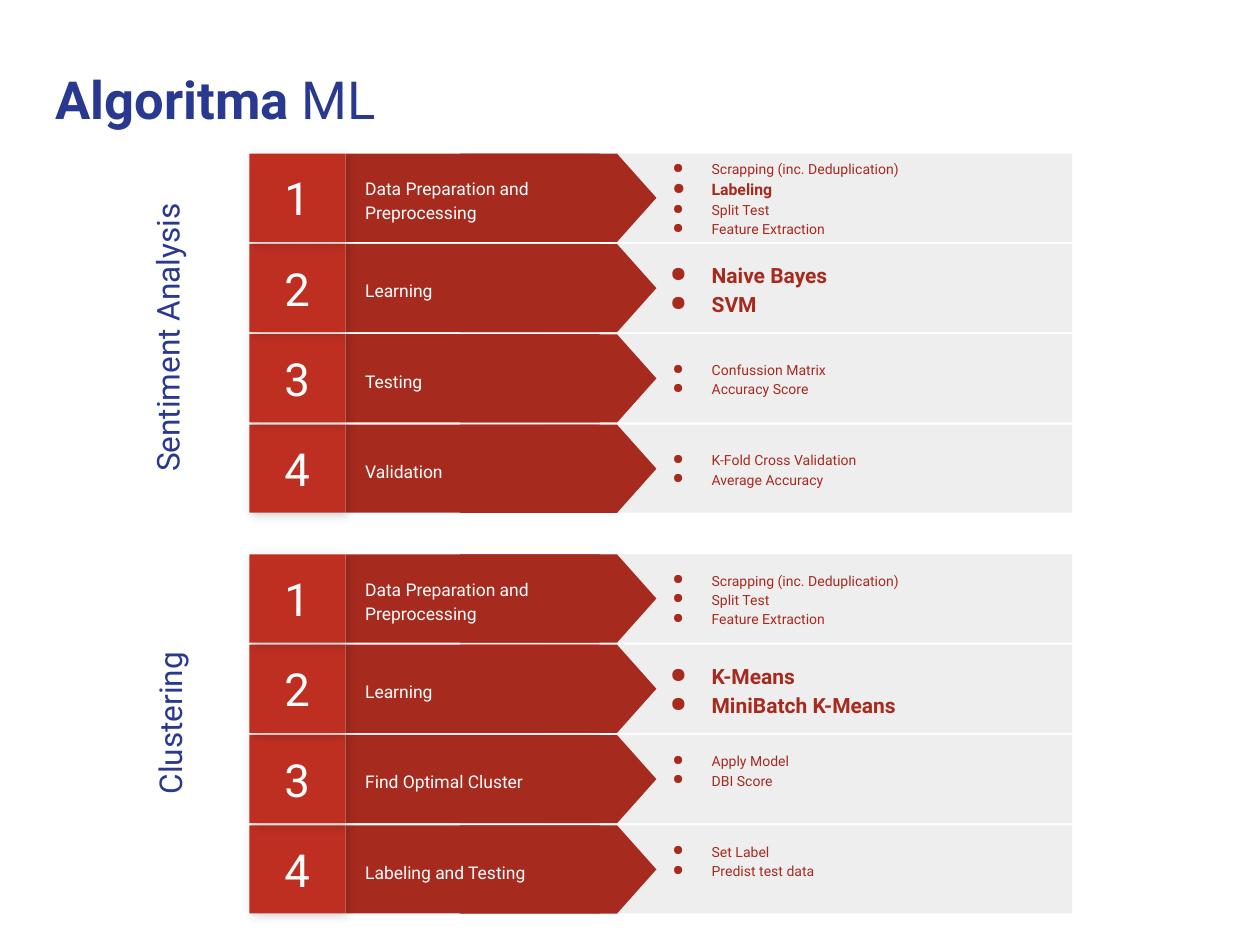
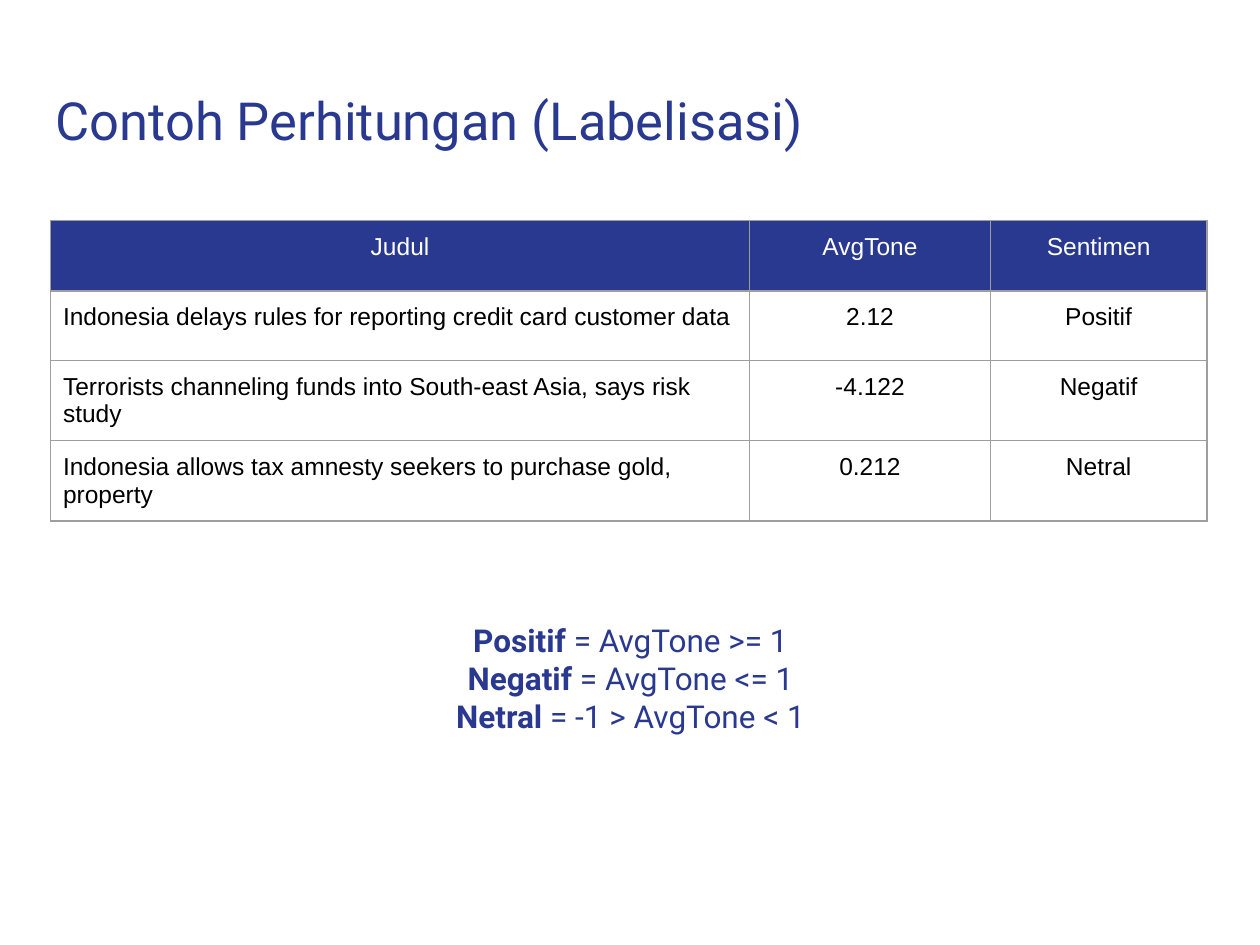
from lxml import etree
from pptx import Presentation
from pptx import util as u
from pptx.dml.color import RGBColor
from pptx.enum import shapes, text
from pptx.oxml import ns

HUES = {
    "blue": "2A3990", "dark": "A72A1E", "red": "BE2F22", "pale": "EEEEEE",
    "white": "FFFFFF", "black": "000000", "line": "9E9E9E",
}
FONT = "Roboto"
LEFT, MID = text.PP_ALIGN.LEFT, text.PP_ALIGN.CENTER
ROW = 0.7  # height of one step

SENTIMENT = [
    ("Data Preparation and Preprocessing",
     [("Scrapping (inc. Deduplication)", 8), ("Labeling", 9),
      ("Split Test", 8), ("Feature Extraction", 8)], 0),
    ("Learning", [("Naive Bayes", 12), ("SVM", 12)], 0),
    ("Testing", [("Confussion Matrix", 8), ("Accuracy Score", 8)], 0),
    ("Validation", [("K-Fold Cross Validation", 8), ("Average Accuracy", 8)], 0),
]
CLUSTER = [
    ("Data Preparation and Preprocessing",
     [("Scrapping (inc. Deduplication)", 8), ("Split Test", 8),
      ("Feature Extraction", 8)], 0),
    ("Learning", [("K-Means", 12), ("MiniBatch K-Means", 12)], 0),
    ("Find Optimal Cluster", [("Apply Model", 8), ("DBI Score", 8)], 0.15),
    ("Labeling and Testing", [("Set Label", 8), ("Predist test data", 8)], 0.15),
]
TONES = [
    ("Judul", "AvgTone", "Sentimen"),
    ("Indonesia delays rules for reporting credit card customer data", "2.12", "Positif"),
    ("Terrorists channeling funds into South-east Asia, says risk study", "-4.122", "Negatif"),
    ("Indonesia allows tax amnesty seekers to purchase gold, property", "0.212", "Netral"),
]
RULES = [
    ("Positif", " = AvgTone >= 1"),
    ("Negatif", " = AvgTone <= 1"),
    ("Netral", " = -1 > AvgTone < 1"),
]


def rgb(hue):
    return RGBColor.from_string(HUES[hue])


def inches(*sizes):
    return [u.Inches(s) for s in sizes]


def node(parent, tag, **attrs):
    return etree.SubElement(parent, ns.qn(tag), {k: str(v) for k, v in attrs.items()})


def write(para, words, size, hue, bold=False, font=FONT):
    run = para.add_run()
    run.text = words
    run.font.size, run.font.name, run.font.bold = u.Pt(size), font, bold
    run.font.color.rgb = rgb(hue)


def frame(shape, anchor=text.MSO_ANCHOR.TOP):
    """Return the shape's text frame with the shared margins."""
    body = shape.text_frame
    body.word_wrap = True
    body.auto_size = text.MSO_AUTO_SIZE.NONE
    body.vertical_anchor = anchor
    for side in ("left", "top", "right", "bottom"):
        setattr(body, f"margin_{side}", u.Inches(0.1))
    return body


def block(group, kind, box, hue):
    shape = group.shapes.add_shape(kind, *inches(*box))
    shape.shadow.inherit = False
    shape.fill.solid()
    shape.fill.fore_color.rgb = rgb(hue)
    shape.line.fill.background()
    return shape


def shade(shape):
    """Add a soft shadow below and right of the shape."""
    list_ = shape._element.spPr.find(ns.qn("a:effectLst"))
    glow = node(list_, "a:outerShdw", blurRad=u.Pt(5.6), dist=u.Pt(2.2),
                dir=45 * 60000, algn="bl", rotWithShape=0)
    node(node(glow, "a:srgbClr", val=HUES["black"]), "a:alpha", val=17000)


def bullet(para, size):
    props = para._p.get_or_add_pPr()
    props.set("marL", str(u.Inches(0.5)))
    props.set("indent", str(u.Inches(-0.33 if size > 9 else -0.31)))
    node(node(props, "a:buClr"), "a:srgbClr", val=HUES["dark"])
    node(props, "a:buChar", char="●")
    para.line_spacing = 1.15


def title(slide, top, parts):
    shape = slide.shapes.title
    shape.left, shape.top, shape.width, shape.height = inches(0.34, top, 9.32, 0.89)
    para = frame(shape).paragraphs[0]
    para.alignment = LEFT
    for words, bold in parts:
        write(para, words, 30, "blue", bold)


def step(slide, left, top, num, name, items, lift):
    """Draw one numbered step; lift raises its list from the middle."""
    group = slide.shapes.add_group_shape()
    rect = shapes.MSO_SHAPE.RECTANGLE
    middle = text.MSO_ANCHOR.MIDDLE
    block(group, rect, (left + 2.34, top, 4.19, ROW), "pale")
    block(group, rect, (left + 0.76, top, 2.02, ROW), "dark")
    long = 1.56
    arrow = block(group, shapes.MSO_SHAPE.FLOWCHART_OFFPAGE_CONNECTOR,
                  (left + 2.1, top + (ROW - long) / 2, ROW, long), "dark")
    arrow.rotation = 270

    label = group.shapes.add_textbox(*inches(left + 0.82, top + 0.09, 2.13, 0.54))
    para = frame(label, middle).paragraphs[0]
    para.line_spacing = 1.15
    write(para, name, 10, "white")

    square = block(group, rect, (left, top, 0.76, ROW), "red")
    shade(square)
    para = frame(square, middle).paragraphs[0]
    para.alignment = MID
    write(para, str(num), 26, "white")

    body = frame(group.shapes.add_textbox(*inches(left + 3.07, top, 3.26, ROW)), middle)
    body.margin_bottom = u.Inches(0.1 + lift)
    for i, (words, size) in enumerate(items):
        para = body.add_paragraph() if i else body.paragraphs[0]
        bullet(para, size)
        write(para, words, size, "dark", size > 8)


def flow(slide, left, top, height, steps):
    """Stack the steps evenly; upper shadows fall on lower steps."""
    pitch = (height - ROW) / (len(steps) - 1)
    for i, (name, items, lift) in reversed(list(enumerate(steps))):
        step(slide, left, top + i * pitch, i + 1, name, items, lift)


def side(slide, box, words):
    shape = slide.shapes.add_textbox(*inches(*box))
    shape.rotation = 270
    para = frame(shape).paragraphs[0]
    para.alignment = MID
    write(para, words, 18, "blue")


def edge(cell):
    props = cell._tc.get_or_add_tcPr()
    for i, tag in enumerate(("a:lnL", "a:lnR", "a:lnT", "a:lnB")):
        line = etree.Element(ns.qn(tag), w=str(u.Pt(0.75)))
        node(node(line, "a:solidFill"), "a:srgbClr", val=HUES["line"])
        props.insert(i, line)


def grid(slide, left, top, widths, heights, rows):
    box = inches(left, top, sum(widths), sum(heights))
    table = slide.shapes.add_table(len(rows), len(widths), *box).table
    table.first_row = table.horz_banding = False
    for col, width in zip(table.columns, widths):
        col.width = u.Inches(width)
    for r, row in enumerate(rows):
        table.rows[r].height = u.Inches(heights[r])
        for c, words in enumerate(row):
            cell = table.cell(r, c)
            cell.margin_left = cell.margin_right = u.Inches(0.1)
            cell.margin_top = cell.margin_bottom = u.Inches(0.1)
            cell.fill.solid()
            cell.fill.fore_color.rgb = rgb("white" if r else "blue")
            edge(cell)
            para = cell.text_frame.paragraphs[0]
            para.alignment = LEFT if r and not c else MID
            write(para, words, 14, "black" if r else "white", font="Arial")


def rules(slide, box):
    body = frame(slide.shapes.add_textbox(*inches(*box)))
    for i, (name, rule) in enumerate(RULES):
        para = body.add_paragraph() if i else body.paragraphs[0]
        para.alignment = MID
        write(para, name, 18, "blue", True)
        write(para, rule, 18, "blue")


def steps_slide(slide):
    title(slide, 0.43, [("Algoritma", True), (" ML", False)])
    flow(slide, 1.98, 1.22, 2.85, SENTIMENT)
    flow(slide, 1.98, 4.4, 2.85, CLUSTER)
    side(slide, (-0.02, 2.38, 2.79, 0.6), "Sentiment Analysis")
    side(slide, (0.01, 5.44, 2.77, 0.6), "Clustering")


def tone_slide(slide):
    title(slide, 0.6, [("Contoh Perhitungan (Labelisasi)", False)])
    grid(slide, 0.4, 1.75, (5.55, 1.91, 1.72), (0.56, 0.55, 0.55, 0.55), TONES)
    rules(slide, (3.42, 4.83, 3.17, 1.12))


def main():
    deck = Presentation()
    deck.slide_width, deck.slide_height = inches(10, 7.5)
    for draw in (steps_slide, tone_slide):
        draw(deck.slides.add_slide(deck.slide_layouts[5]))
    deck.save("out.pptx")


if __name__ == "__main__":
    main()
